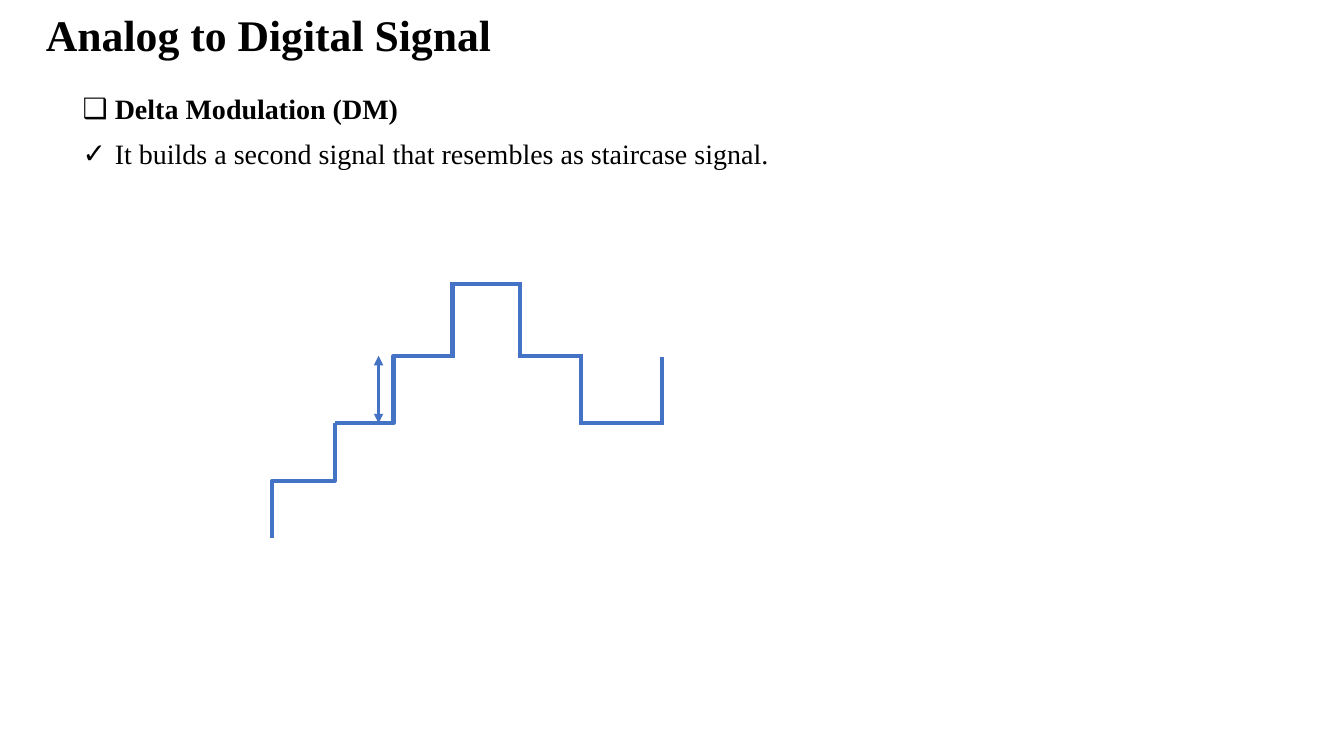
from lxml import etree
from pptx import Presentation
from pptx.dml.color import RGBColor
from pptx.enum.shapes import MSO_CONNECTOR
from pptx.enum.text import MSO_ANCHOR, MSO_AUTO_SIZE, PP_ALIGN
from pptx.oxml.ns import qn
from pptx.util import Pt

STRAIGHT, ELBOW = MSO_CONNECTOR.STRAIGHT, MSO_CONNECTOR.ELBOW
MIDDLE, TOP = MSO_ANCHOR.MIDDLE, MSO_ANCHOR.TOP
NO_FIT = MSO_AUTO_SIZE.NONE
LEFT = PP_ALIGN.LEFT

FONT = "Times New Roman"
BLACK, BLUE = "000000", "4472C4"

# Staircase: one tread between each pair of risers
RISERS = [0, 44.6, 87, 128.9, 177, 220.8, 278.6]
LEVELS = [181.5, 140.4, 99.4, 51.2, 0, 51.2, 99.4, 53.5]


def color(code):
    return RGBColor.from_string(code)


def place(shape, box, anchor):
    shape.left, shape.top, shape.width, shape.height = map(Pt, box)
    frame = shape.text_frame
    frame.word_wrap = True
    frame.auto_size = NO_FIT
    frame.vertical_anchor = anchor
    return frame


def style(para, size, bold):
    para.alignment = LEFT
    para.line_spacing = 0.9
    font = para.font
    font.name, font.size, font.bold = FONT, Pt(size), bold
    font.color.rgb = color(BLACK)


def bullet(para, mark, indent):
    props = para._p.get_or_add_pPr()
    props.set("marL", str(Pt(indent)))
    props.set("indent", str(Pt(-indent)))
    etree.SubElement(props, qn("a:buChar")).set("char", mark)


def add_title(slide, box, text):
    para = place(slide.shapes.title, box, MIDDLE).paragraphs[0]
    para.text = text
    style(para, 31.2, True)


def add_list(slide, box, items):
    frame = place(slide.placeholders[1], box, TOP)
    for i, (mark, text, bold) in enumerate(items):
        para = frame.add_paragraph() if i else frame.paragraphs[0]
        para.text = text
        bullet(para, mark, 23)
        style(para, 20, bold)
        para.space_before = Pt(10 if i else 0)


def add_line(slide, start, end, kind=STRAIGHT, width=3, arrows=False):
    line = slide.shapes.add_connector(kind, *map(Pt, start + end))
    line.line.color.rgb = color(BLUE)
    line.line.width = Pt(width)
    stroke = line.line._get_or_add_ln()
    if arrows:
        for tip in ("a:headEnd", "a:tailEnd"):
            etree.SubElement(stroke, qn(tip)).set("type", "triangle")
    elif kind == STRAIGHT:
        stroke.set("cap", "sq")
    etree.SubElement(line._element.spPr, qn("a:effectLst"))
    return line


def add_rise(slide, start, end):
    # An elbow that leaves upwards is a sideways one turned by 90 degrees
    (x1, y1), (x2, y2) = start, end
    mid_x, mid_y = (x1 + x2) / 2, (y1 + y2) / 2
    half_w, half_h = (x2 - x1) / 2, (y1 - y2) / 2
    line = add_line(slide, (mid_x + half_h, mid_y + half_w),
                    (mid_x - half_h, mid_y - half_w), ELBOW)
    line._element.spPr.find(qn("a:xfrm")).set("rot", "5400000")


def add_stairs(slide, left, top):
    # Each riser meets the level before it and the level after it
    points = []
    for i, x in enumerate(RISERS):
        points += [(left + x, top + y) for y in LEVELS[i:i + 2]]

    # Two elbows climb the first steps, straight lines do the rest
    add_rise(slide, points[0], points[3])
    add_line(slide, points[3], points[6], ELBOW)
    for start, end in zip(points[6:], points[7:]):
        add_line(slide, start, end)

    # Step height
    x = left + 76
    add_line(slide, (x, top + LEVELS[3]), (x, top + LEVELS[2]),
             width=2.25, arrows=True)


def main():
    deck = Presentation()
    deck.slide_width, deck.slide_height = Pt(960), Pt(540)
    slide = deck.slides.add_slide(deck.slide_layouts[1])

    add_title(slide, (25.6, 0.5, 934.4, 52.6), "Analog to Digital Signal")
    add_list(slide, (51.8, 64.8, 900.7, 475.2), [
        ("❑", "Delta Modulation (DM)", True),
        ("✓", "It builds a second signal that resembles as staircase signal.",
         False),
    ])
    add_stairs(slide, 194.4, 203)
    deck.save("out.pptx")


if __name__ == "__main__":
    main()
